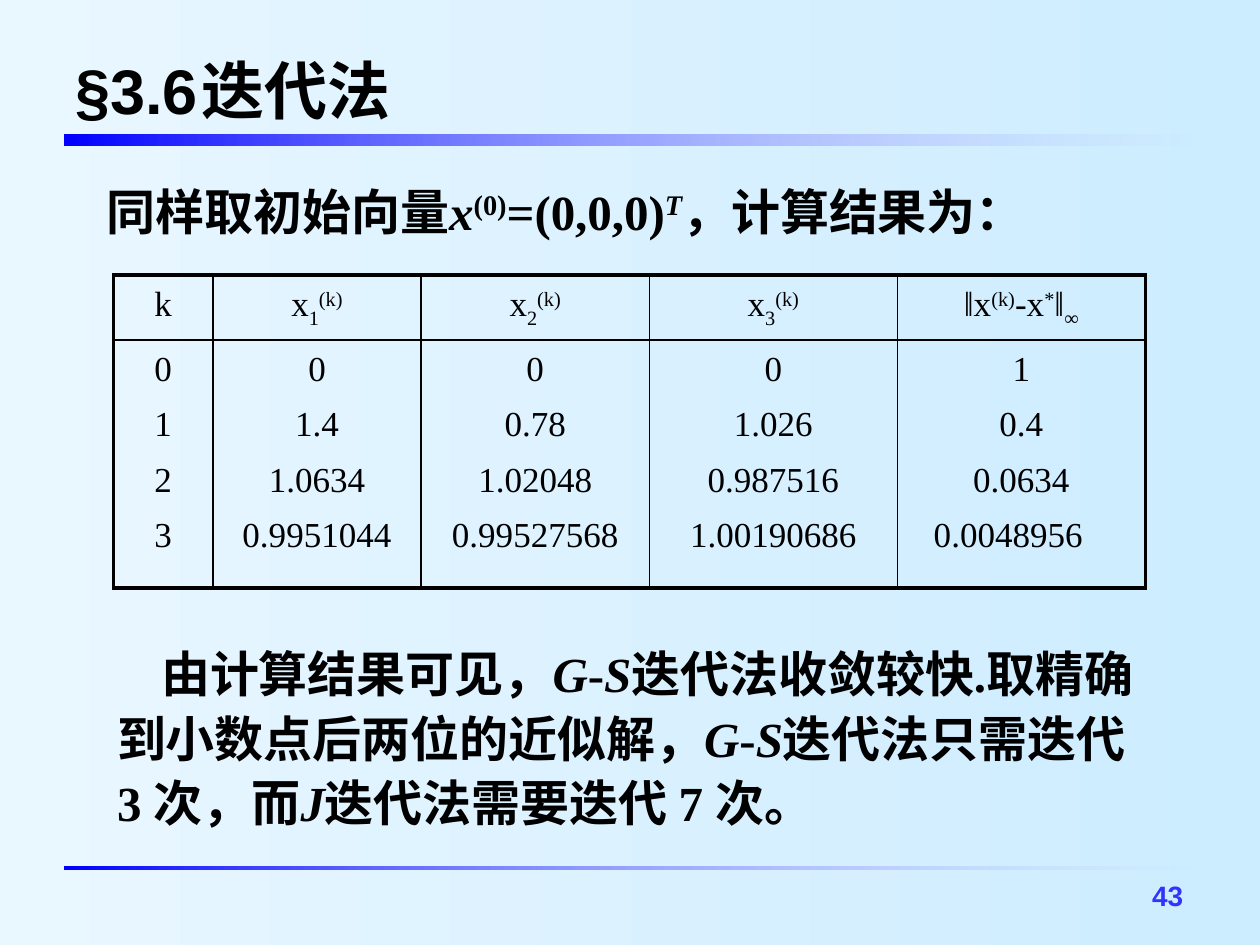
import lxml.etree
import pptx
import pptx.dml.color
import pptx.enum.shapes
import pptx.enum.text
import pptx.oxml.ns
import pptx.util

Cm = pptx.util.Cm
Pt = pptx.util.Pt
qn = pptx.oxml.ns.qn
ALIGN = pptx.enum.text.PP_ALIGN
ANCHOR = pptx.enum.text.MSO_ANCHOR

COLORS = {
    "ink": "000000",
    "sky_light": "E9F7FF",
    "sky": "CCECFF",
    "blue": "0000FF",
    "lavender": "AAAAFF",
    "number": "3333FF",
}
STYLES = {
    "italic": {"i": "1"},
    "sup": {"baseline": "30000"},
    "sub": {"baseline": "-25000"},
    "italic_sup": {"i": "1", "baseline": "30000"},
}


class SlideBuilder:
    heading_font = "Arial"
    body_font = "Times New Roman"
    outer_line, inner_line = 2.25, 1

    def __init__(self, slide):
        self.slide = slide

    def color(self, name):
        return pptx.dml.color.RGBColor.from_string(COLORS[name])

    def gradient(self, fill, start, end):
        fill.gradient()
        fill.gradient_angle = 0
        for stop, name in zip(fill.gradient_stops, (start, end)):
            stop.color.rgb = self.color(name)

    def fading_bar(self, top, height):
        bar = self.slide.shapes.add_shape(
            pptx.enum.shapes.MSO_SHAPE.RECTANGLE, Cm(1.3), Cm(top), Cm(22.81), Cm(height))
        bar.shadow.inherit = False
        bar.line.fill.background()
        self.gradient(bar.fill, "blue", "lavender")
        end_color = list(bar._element.iter(qn("a:srgbClr")))[-1]
        lxml.etree.SubElement(end_color, qn("a:alpha"), val="0")

    def add_runs(self, paragraph, runs, size, font, color="ink", bold=False):
        for content, style in runs:
            run = paragraph.add_run()
            run.text = content
            for key, value in STYLES.get(style, {}).items():
                run._r.get_or_add_rPr().set(key, value)
        paragraph.font.size = Pt(size)
        paragraph.font.name = font
        paragraph.font.bold = bold
        paragraph.font.color.rgb = self.color(color)

    def text(self, box, runs, size, font, color="ink", anchor=ANCHOR.TOP,
             align=ALIGN.LEFT, spacing=None, indent=0, tab=None):
        frame = self.slide.shapes.add_textbox(*map(Cm, box)).text_frame
        frame.word_wrap = True
        frame.vertical_anchor = anchor
        paragraph = frame.paragraphs[0]
        paragraph.alignment = align
        paragraph.line_spacing = spacing
        properties = paragraph._p.get_or_add_pPr()
        properties.set("indent", str(Cm(indent)))
        if tab:
            tabs = lxml.etree.SubElement(properties, qn("a:tabLst"))
            lxml.etree.SubElement(tabs, qn("a:tab"), pos=str(Cm(tab)), algn="l")
        self.add_runs(paragraph, runs, size, font, color, bold=True)

    def border(self, cell, side, width):
        line = lxml.etree.SubElement(
            cell._tc.get_or_add_tcPr(), qn("a:ln" + side), w=str(Pt(width)))
        solid = lxml.etree.SubElement(line, qn("a:solidFill"))
        lxml.etree.SubElement(solid, qn("a:srgbClr"), val=COLORS["ink"])

    def table(self, left, top, widths, heights, rows):
        table = self.slide.shapes.add_table(
            len(heights), len(widths), Cm(left), Cm(top),
            Cm(sum(widths)), Cm(sum(heights))).table
        table.first_row = table.horz_banding = False
        for column, width in zip(table.columns, widths):
            column.width = Cm(width)
        for row, height in zip(table.rows, heights):
            row.height = Cm(height)
        for r, row in enumerate(rows):
            for c, lines in enumerate(row):
                cell = table.cell(r, c)
                edges = {"L": c == 0, "R": c == len(widths) - 1,
                         "T": r == 0, "B": r == len(heights) - 1}
                for side, outer in edges.items():
                    self.border(cell, side, self.outer_line if outer else self.inner_line)
                cell.fill.background()
                for n, runs in enumerate(lines):
                    frame = cell.text_frame
                    paragraph = frame.add_paragraph() if n else frame.paragraphs[0]
                    paragraph.alignment = ALIGN.CENTER
                    paragraph.line_spacing = 1.1
                    if n:
                        paragraph.space_before = Pt(7.2)
                    self.add_runs(paragraph, runs, 20, self.body_font)
        return table


def component(index):
    return [("x", ""), (index, "sub"), ("(k)", "sup")]


def main():
    deck = pptx.Presentation()
    deck.slide_width, deck.slide_height = Cm(25.4), Cm(19.05)
    slide = deck.slides.add_slide(deck.slide_layouts[6])
    builder = SlideBuilder(slide)
    builder.gradient(slide.background.fill, "sky_light", "sky")
    builder.fading_bar(2.72, 0.22)
    builder.fading_bar(17.46, 0.08)

    builder.text((1.27, 0.91, 22.86, 1.8), [("§3.6\t迭代法", "")], 36,
                 builder.heading_font, anchor=ANCHOR.MIDDLE, tab=3.48)
    builder.text((18.21, 17.35, 5.89, 1.17), [("43", "")], 16, builder.heading_font,
                 "number", ANCHOR.BOTTOM, ALIGN.RIGHT)

    initial_vector = [("同样取初始向量", ""), ("x", "italic"), ("(0)", "sup"),
                      ("=(0,0,0)", ""), ("T", "italic_sup"), ("，计算结果为：", "")]
    builder.text((1.9, 3.53, 19.81, 1.45), initial_vector, 28, builder.body_font)

    error_norm = [("‖x", ""), ("(k)", "sup"), ("-x", ""), ("*", "sup"),
                  ("‖", ""), ("∞", "sub")]
    header = [[[("k", "")]], *([component(i)] for i in "123"), [error_norm]]
    iterations = [
        ("0", "1", "2", "3"),
        ("0", "1.4", "1.0634", "0.9951044"),
        ("0", "0.78", "1.02048", "0.99527568"),
        ("0", "1.026", "0.987516", "1.00190686"),
        ("1", "0.4", "0.0634", "0.0048956"),
    ]
    results = [[[(value, "")] for value in column] for column in iterations]
    table = builder.table(2.29, 5.54, (2, 4.2, 4.6, 5, 5), (1.22, 5), [header, results])
    last_error = table.cell(1, 4).text_frame.paragraphs[-1]
    last_error.alignment = ALIGN.LEFT
    last_error._p.get_or_add_pPr().set("marL", str(Cm(0.48)))

    gauss_seidel = [("G", "italic"), ("-", ""), ("S", "italic")]
    conclusion = [("由计算结果可见，", ""), *gauss_seidel,
                  ("迭代法收敛较快.取精确到小数点后两位的近似解，", ""), *gauss_seidel,
                  ("迭代法只需迭代 3 次，而", ""), ("J", "italic"),
                  ("迭代法需要迭代 7 次。", "")]
    builder.text((2.11, 12.73, 21.01, 4.17), conclusion, 28, builder.body_font,
                 spacing=1.1, indent=0.89)
    deck.save("out.pptx")


if __name__ == "__main__":
    main()
